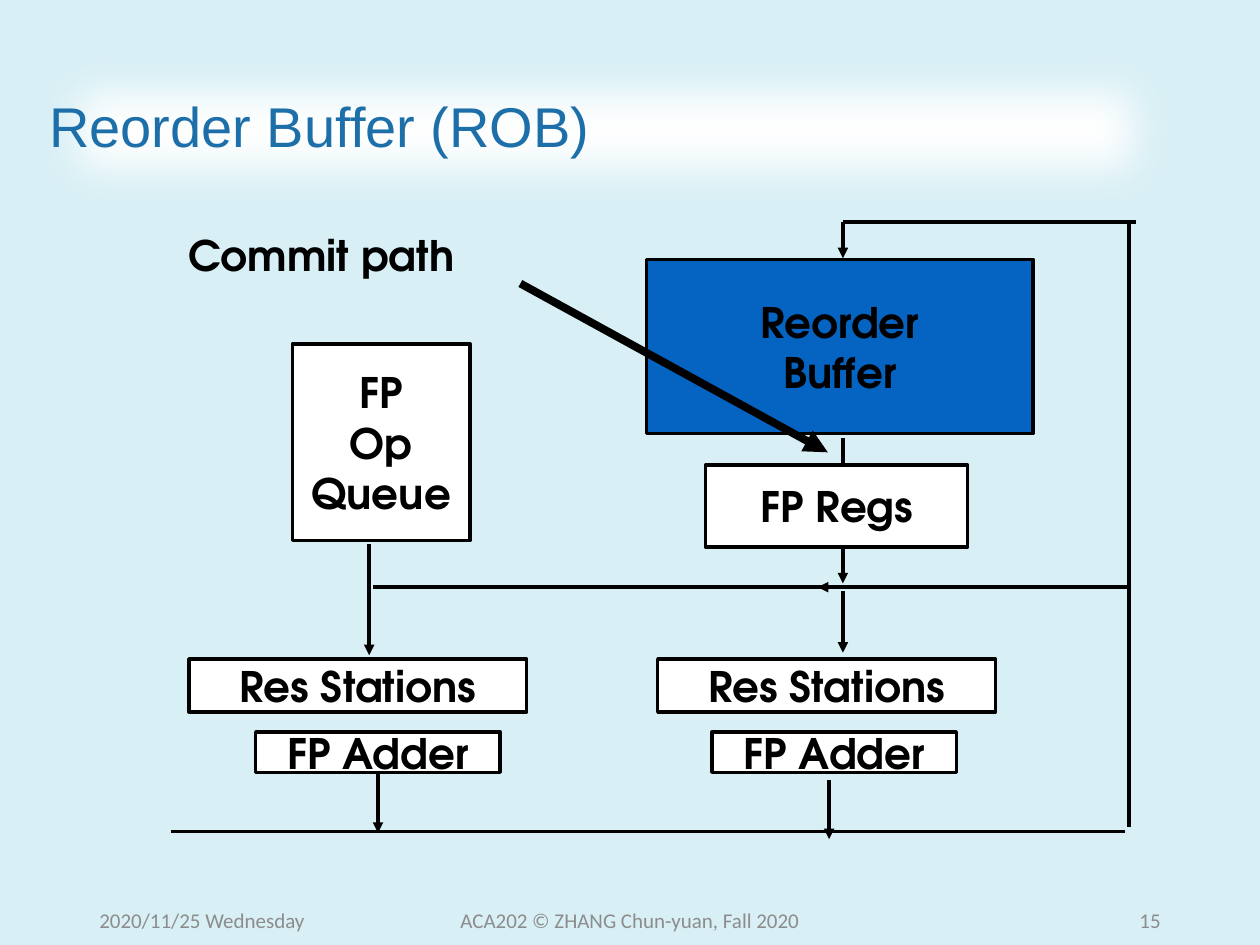
from dataclasses import dataclass

from lxml import etree
from pptx import Presentation
from pptx import util as u
from pptx.dml.color import RGBColor
from pptx.enum import shapes, text
from pptx.oxml import ns


@dataclass(frozen=True)
class Theme:
    """Colours, fonts and type sizes of the slide."""
    background: str = "D7EFF5"
    white: str = "FFFFFF"
    ink: str = "000000"
    buffer: str = "0563C1"
    heading: str = "1D6FA9"
    muted: str = "8C8C8C"
    heading_font: str = "Arial"
    label_font: str = "TeX Gyre Adventor"
    footer_font: str = "Calibri"
    heading_size: float = 32
    label_size: float = 24
    footer_size: float = 12
    line: float = 2
    heavy_line: float = 4.5


@dataclass(frozen=True)
class Unit:
    """A labelled hardware block."""
    label: str
    left: float
    top: float
    width: float
    height: float
    fill: str


@dataclass(frozen=True)
class Wire:
    """A straight path between two points."""
    start: tuple[float, float]
    end: tuple[float, float]
    arrow: bool = False
    weight: float = 2


@dataclass(frozen=True)
class Footer:
    """One entry of the footer row."""
    label: str
    left: float
    width: float
    align: text.PP_ALIGN


THEME = Theme()
LEFT, CENTER, RIGHT = text.PP_ALIGN.LEFT, text.PP_ALIGN.CENTER, text.PP_ALIGN.RIGHT


def color(value: str) -> RGBColor:
    """Turn a hex value into a colour."""
    return RGBColor.from_string(value)


def write(frame, label: str, font: str, size: float, ink: str,
          align=CENTER, bold: bool = False, wrap: bool = False) -> None:
    """Fill a text frame, one paragraph for each line of the label."""
    frame.word_wrap = wrap
    frame.vertical_anchor = text.MSO_ANCHOR.MIDDLE
    for index, line in enumerate(label.split("\n")):
        paragraph = frame.add_paragraph() if index else frame.paragraphs[0]
        paragraph.alignment = align
        run = paragraph.add_run()
        run.text = line
        run.font.name, run.font.size, run.font.bold = font, u.Pt(size), bold
        run.font.color.rgb = color(ink)


def write_label(frame, label: str) -> None:
    """Write a diagram label."""
    write(frame, label, THEME.label_font, THEME.label_size, THEME.ink, bold=True)


def draw_title(slide, label: str) -> None:
    """Place the title on a white band with soft edges."""
    title = slide.shapes.title
    title.left, title.top = u.Inches(0.29), u.Inches(0.4)
    title.width, title.height = u.Inches(9.02), u.Inches(1.26)
    title.fill.solid()
    title.fill.fore_color.rgb = color(THEME.white)
    effects = etree.SubElement(title.element.spPr, ns.qn("a:effectLst"))
    etree.SubElement(effects, ns.qn("a:softEdge"), rad=str(u.Inches(0.35)))
    title.text_frame.auto_size = text.MSO_AUTO_SIZE.NONE
    write(title.text_frame, label, THEME.heading_font, THEME.heading_size,
          THEME.heading, LEFT, wrap=True)
    title.text_frame.paragraphs[0].line_spacing = 0.9


def draw_unit(slide, unit: Unit) -> None:
    """Draw a labelled block."""
    block = slide.shapes.add_shape(
        shapes.MSO_SHAPE.RECTANGLE, u.Inches(unit.left), u.Inches(unit.top),
        u.Inches(unit.width), u.Inches(unit.height))
    block.shadow.inherit = False
    block.fill.solid()
    block.fill.fore_color.rgb = color(unit.fill)
    block.line.color.rgb = color(THEME.ink)
    block.line.width = u.Pt(THEME.line)
    write_label(block.text_frame, unit.label)


def draw_wire(slide, wire: Wire) -> None:
    """Draw a path, with an arrowhead at its end if asked for."""
    path_line = slide.shapes.add_connector(
        shapes.MSO_CONNECTOR.STRAIGHT,
        *(u.Inches(value) for value in wire.start + wire.end))
    path_line.line.color.rgb = color(THEME.ink)
    path_line.line.width = u.Pt(wire.weight)
    if wire.arrow:
        etree.SubElement(path_line.line._get_or_add_ln(), ns.qn("a:tailEnd"),
                         type="triangle")
    etree.SubElement(path_line._element.spPr, ns.qn("a:effectLst"))


def add_text(slide, left: float, top: float, width: float, height: float):
    """Add a text box and return its frame."""
    return slide.shapes.add_textbox(
        u.Inches(left), u.Inches(top), u.Inches(width), u.Inches(height)).text_frame


def draw_footer(slide, footer: Footer) -> None:
    """Write one entry of the footer row."""
    frame = add_text(slide, footer.left, 7.1, footer.width, 0.4)
    write(frame, footer.label, THEME.footer_font, THEME.footer_size, THEME.muted,
          footer.align, wrap=True)


QUEUE_X, REGS_X, BUS_X, OPERAND_Y, RESULT_Y = 2.93, 6.69, 8.96, 4.66, 6.6

UNITS = [
    Unit("Reorder\nBuffer", 5.13, 2.06, 3.07, 1.38, THEME.buffer),
    Unit("FP\nOp\nQueue", 2.32, 2.73, 1.41, 1.56, THEME.white),
    *(Unit("FP Adder", left, 5.81, 1.94, 0.32, THEME.white) for left in (2.03, 5.65)),
    *(Unit("Res Stations", left, 5.23, 2.68, 0.42, THEME.white) for left in (1.5, 5.22)),
]
REGISTERS = Unit("FP Regs", 5.6, 3.69, 2.08, 0.65, THEME.white)

WIRES = [
    Wire((1.36, RESULT_Y), (8.93, RESULT_Y)),
    Wire((BUS_X, 1.78), (BUS_X, 6.56)),
    Wire((9.02, 1.76), (REGS_X, 1.76)),
    Wire((REGS_X, 1.76), (REGS_X, 2.05), arrow=True),
    Wire((3, 6.14), (3, 6.61), arrow=True),
    Wire((6.58, 6.19), (6.58, 6.66), arrow=True),
    Wire((QUEUE_X, 4.32), (QUEUE_X, 5.2), arrow=True),
    Wire((2.96, OPERAND_Y), (6.56, OPERAND_Y)),
    Wire((REGS_X, 4.69), (REGS_X, 5.18), arrow=True),
    Wire((REGS_X, 3.48), (REGS_X, 4.63), arrow=True),
    Wire((8.98, OPERAND_Y), (6.49, OPERAND_Y), arrow=True),
]
COMMIT_ARROW = Wire((4.13, 2.25), (6.57, 3.59), arrow=True, weight=THEME.heavy_line)

FOOTERS = [
    Footer("2020/11/25 Wednesday", 0.69, 2.25, LEFT),
    Footer("ACA202 © ZHANG Chun-yuan, Fall 2020", 3.31, 3.38, CENTER),
    Footer("15", 7.06, 2.25, RIGHT),
]


def main() -> None:
    """Build and save the slide."""
    deck = Presentation()
    deck.slide_width, deck.slide_height = u.Inches(10), u.Inches(7.5)
    slide = deck.slides.add_slide(deck.slide_layouts.get_by_name("Title Only"))
    slide.background.fill.solid()
    slide.background.fill.fore_color.rgb = color(THEME.background)
    draw_title(slide, "Reorder Buffer (ROB)")
    for unit in UNITS:
        draw_unit(slide, unit)
    for wire in WIRES:
        draw_wire(slide, wire)
    draw_unit(slide, REGISTERS)
    write_label(add_text(slide, 1.39, 1.77, 2.32, 0.5), "Commit path")
    draw_wire(slide, COMMIT_ARROW)
    for footer in FOOTERS:
        draw_footer(slide, footer)
    deck.save("out.pptx")


main()
